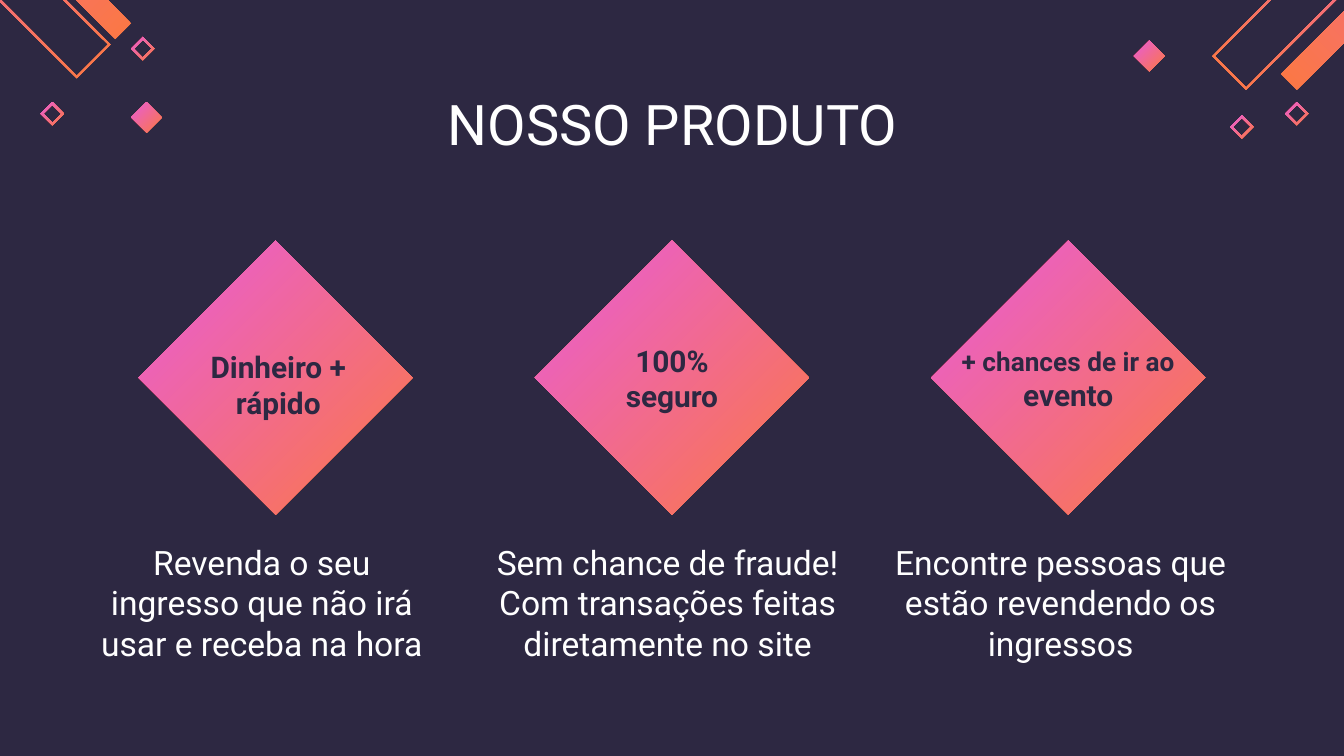
from pptx import Presentation
from pptx.dml.color import RGBColor
from pptx.enum.text import MSO_ANCHOR, PP_ALIGN
from pptx.util import Cm, Pt

TOP, MIDDLE = MSO_ANCHOR.TOP, MSO_ANCHOR.MIDDLE
CENTER = PP_ALIGN.CENTER

NAVY = RGBColor(0x2D, 0x28, 0x42)
WHITE = RGBColor(0xFF, 0xFF, 0xFF)
ORANGE = RGBColor(0xFB, 0x78, 0x43)
PINK = RGBColor(0xE8, 0x5C, 0xDB)
FONT = "Roboto"

TITLE = "NOSSO PRODUTO"
PRODUCTS = [
    {"label": [("Dinheiro +", 16), ("rápido", 16)], "label_box": (2.62, 6.35),
     "caption": "Revenda o seu ingresso que não irá usar e receba na hora",
     "caption_box": (1.37, 7.16)},
    {"label": [("100%", 16), ("seguro", 16)], "label_box": (10.06, 6.22),
     "caption": "Sem chance de fraude! Com transações feitas diretamente no site",
     "caption_box": (8.86, 7.52)},
    {"label": [("+ chances de ir ao", 14), ("evento", 16)], "label_box": (17.55, 6.27),
     "caption": "Encontre pessoas que estão revendendo os ingressos",
     "caption_box": (16.36, 7.37)},
]

LEFT_SIDE, RIGHT_SIDE = 1, -1
FRAME = 0.05
HOLLOW_BAR = (0.64, 4.95, FRAME)
SOLID_BAR = (0.3, 5.97, 0)
HOLLOW_DIAMOND = (0.22, 0.22, FRAME)
SOLID_DIAMOND = (0.29, 0.29, 0)
BIG_DIAMOND = (2.59, 2.59, 0)
DECORATIONS = [
    (LEFT_SIDE, HOLLOW_BAR, 1.45, 1.48),
    (LEFT_SIDE, SOLID_BAR, 2.18, 0.74),
    (LEFT_SIDE, HOLLOW_DIAMOND, 2.7, 1.14),
    (LEFT_SIDE, SOLID_DIAMOND, 2.77, 2.51),
    (LEFT_SIDE, HOLLOW_DIAMOND, 0.99, 2.37),
    (RIGHT_SIDE, HOLLOW_BAR, 23.55, 1.7),
    (RIGHT_SIDE, SOLID_BAR, 24.51, 1.7),
    (RIGHT_SIDE, HOLLOW_DIAMOND, 23.47, 2.62),
    (RIGHT_SIDE, SOLID_DIAMOND, 21.72, 1.35),
    (RIGHT_SIDE, HOLLOW_DIAMOND, 24.51, 2.37),
]
DIAMOND_CENTER, DIAMOND_STEP, DIAMOND_BOTTOM = 5.21, 7.49, 9.73


def tilted_corners(x, y, width, length, side):
    corners = [(x, y), (x + side * width, y - width),
               (x + side * (width - length), y - width - length),
               (x - side * length, y - length)]
    return [(Cm(left), Cm(top)) for left, top in corners]


def add_tilted_shape(slide, side, size, x, y):
    width, length, frame = size
    outer = tilted_corners(x, y, width, length, side)
    builder = slide.shapes.build_freeform(*outer[0])
    builder.add_line_segments(outer[1:], close=True)
    if frame:
        inner = tilted_corners(x, y - frame, width - frame, length - frame, side)
        inner.reverse()
        builder.move_to(*inner[0])
        builder.add_line_segments(inner[1:], close=True)
    shape = builder.convert_to_shape()
    shape.shadow.inherit = False
    shape.line.fill.background()
    shape.fill.gradient()
    is_right_bar = side == RIGHT_SIDE and width != length
    shape.fill.gradient_angle = 45 if is_right_bar else 135
    for stop, position, color in zip(shape.fill.gradient_stops, (0, 1), (ORANGE, PINK)):
        stop.position = position
        stop.color.rgb = color


def write_text(shape, lines, color, bold=False, anchor=TOP, inset=0.25):
    frame = shape.text_frame
    frame.word_wrap = True
    frame.vertical_anchor = anchor
    frame.margin_left = frame.margin_right = Cm(inset)
    frame.margin_top = frame.margin_bottom = Cm(inset)
    for index, (text, size) in enumerate(lines):
        paragraph = frame.add_paragraph() if index else frame.paragraphs[0]
        paragraph.text = text
        paragraph.alignment = CENTER
        paragraph.font.name = FONT
        paragraph.font.size = Pt(size)
        paragraph.font.bold = bold
        paragraph.font.color.rgb = color


presentation = Presentation()
presentation.slide_width = Cm(25.4)
presentation.slide_height = Cm(14.29)
slide = presentation.slides.add_slide(presentation.slide_layouts[5])
slide.background.fill.solid()
slide.background.fill.fore_color.rgb = NAVY

for decoration in DECORATIONS:
    add_tilted_shape(slide, *decoration)

for index, product in enumerate(PRODUCTS):
    center = DIAMOND_CENTER + index * DIAMOND_STEP
    add_tilted_shape(slide, LEFT_SIDE, BIG_DIAMOND, center, DIAMOND_BOTTOM)

    left, width = product["caption_box"]
    caption = slide.shapes.add_textbox(Cm(left), Cm(9.93), Cm(width), Cm(2.92))
    write_text(caption, [(product["caption"], 18)], WHITE, anchor=MIDDLE, inset=0.51)

    left, top = product["label_box"]
    label = slide.shapes.add_textbox(Cm(left), Cm(top), Cm(5.28), Cm(1.32))
    write_text(label, product["label"], NAVY, bold=True)

title = slide.shapes.title
title.left, title.top, title.width, title.height = Cm(1.68), Cm(1.45), Cm(22.07), Cm(1.88)
write_text(title, [(TITLE, 30)], WHITE)

presentation.save("out.pptx")
